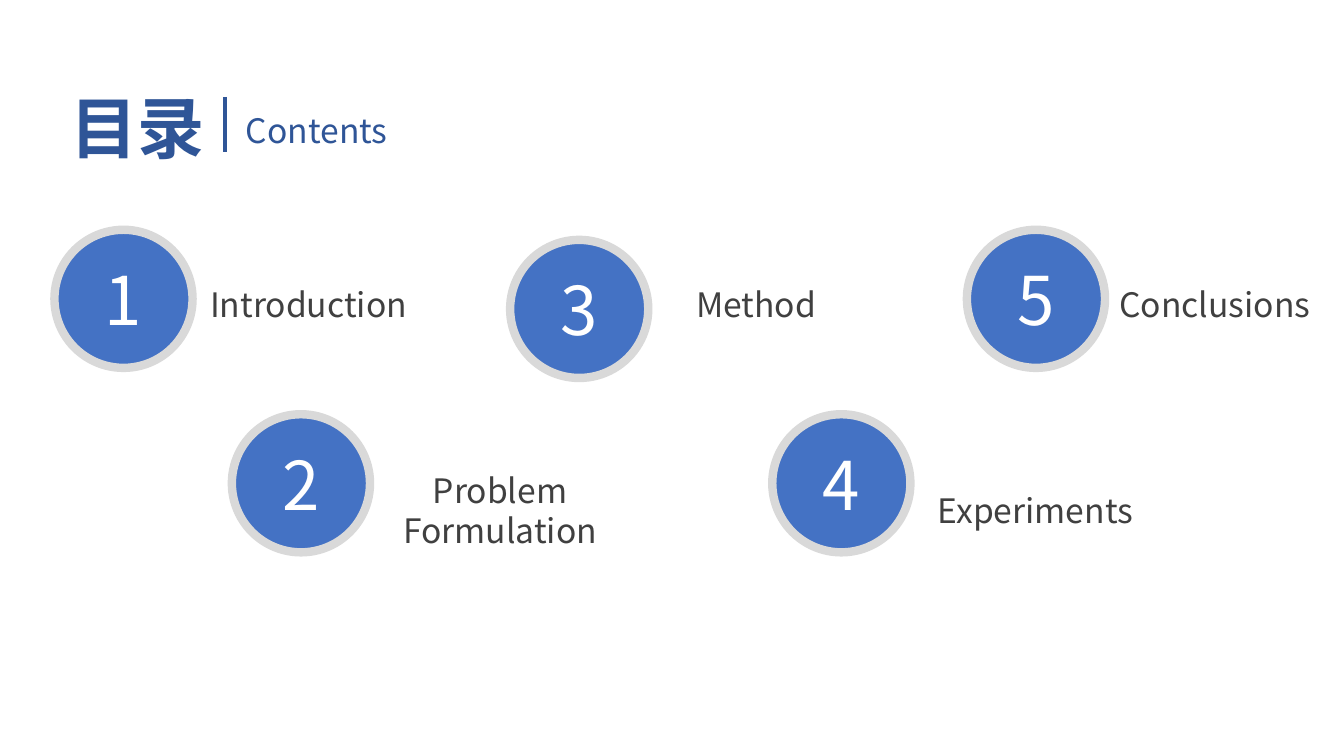
"""Build the contents slide with five numbered sections."""
from pptx import Presentation
from pptx.dml.color import RGBColor
from pptx.enum.shapes import MSO_CONNECTOR, MSO_SHAPE
from pptx.enum.text import MSO_ANCHOR, PP_ALIGN
from pptx.util import Inches, Pt
from lxml import etree

FONT = "Noto Sans CJK SC"
NAVY = RGBColor(0x2F, 0x55, 0x97)
BLUE = RGBColor(0x44, 0x72, 0xC4)
SILVER = RGBColor(0xD9, 0xD9, 0xD9)
WHITE = RGBColor(0xFF, 0xFF, 0xFF)
DARK = RGBColor(0x40, 0x40, 0x40)
NS = "{http://schemas.openxmlformats.org/drawingml/2006/main}"
LEFT, CENTER = PP_ALIGN.LEFT, PP_ALIGN.CENTER
MIDDLE = MSO_ANCHOR.MIDDLE
OVAL = MSO_SHAPE.OVAL
STRAIGHT = MSO_CONNECTOR.STRAIGHT

DIAMETER = 1.37
LABEL_WIDTH = 2.6
SECTIONS = [
    ("Introduction", 0.54, 2.28, 1.76, 2.73, 0.5),
    ("Problem Formulation", 2.3, 4.11, 3.66, 4.57, 0.91),
    ("Method", 5.06, 2.38, 6.2, 2.73, 0.5),
    ("Experiments", 7.66, 4.11, 8.97, 4.77, 0.5),
    ("Conclusions", 9.59, 2.28, 10.75, 2.73, 0.5),
]


def write(tf, text, size=24, color=DARK, bold=False, align=CENTER):
    p = tf.paragraphs[0]
    p.alignment = align
    r = p.add_run()
    r.text = text
    r.font.size = Pt(size)
    r.font.bold = bold
    r.font.color.rgb = color
    r.font.name = FONT
    etree.SubElement(r.font._element, NS + "ea", typeface=FONT)
    return p


def add_text(text, left, top, width, height, size=24, wrap=True, **style):
    tf = s.shapes.add_textbox(Inches(left), Inches(top), Inches(width), Inches(height)).text_frame
    tf.word_wrap = wrap
    tf.margin_top, tf.margin_bottom = Inches(0.09), Inches(0.01)
    write(tf, text, size, **style).line_spacing = Pt(size * 1.2)


prs = Presentation()
prs.slide_width, prs.slide_height = Inches(13.33), Inches(7.5)
s = prs.slides.add_slide(prs.slide_layouts[6])

add_text("目录", 0.6, 0.77, 1.76, 0.91, size=48, color=NAVY, bold=True, align=LEFT)
divider = s.shapes.add_connector(STRAIGHT, Inches(2.23), Inches(0.96), Inches(2.23), Inches(1.51))
divider.line.color.rgb = NAVY
divider.line.width = Pt(3)
etree.SubElement(divider._element.spPr, NS + "effectLst")
add_text("Contents", 2.34, 1, 1.65, 0.5, wrap=False, color=NAVY, align=LEFT)

for number, (label, x, y, label_x, label_y, label_h) in enumerate(SECTIONS, 1):
    sp = s.shapes.add_shape(OVAL, Inches(x), Inches(y), Inches(DIAMETER), Inches(DIAMETER))
    sp.shadow.inherit = False
    sp.fill.solid()
    sp.fill.fore_color.rgb = BLUE
    sp.line.color.rgb = SILVER
    sp.line.width = Pt(6)
    sp.text_frame.vertical_anchor = MIDDLE
    write(sp.text_frame, str(number), size=48, color=WHITE)
    add_text(label, label_x, label_y, LABEL_WIDTH, label_h)

prs.save("out.pptx")
